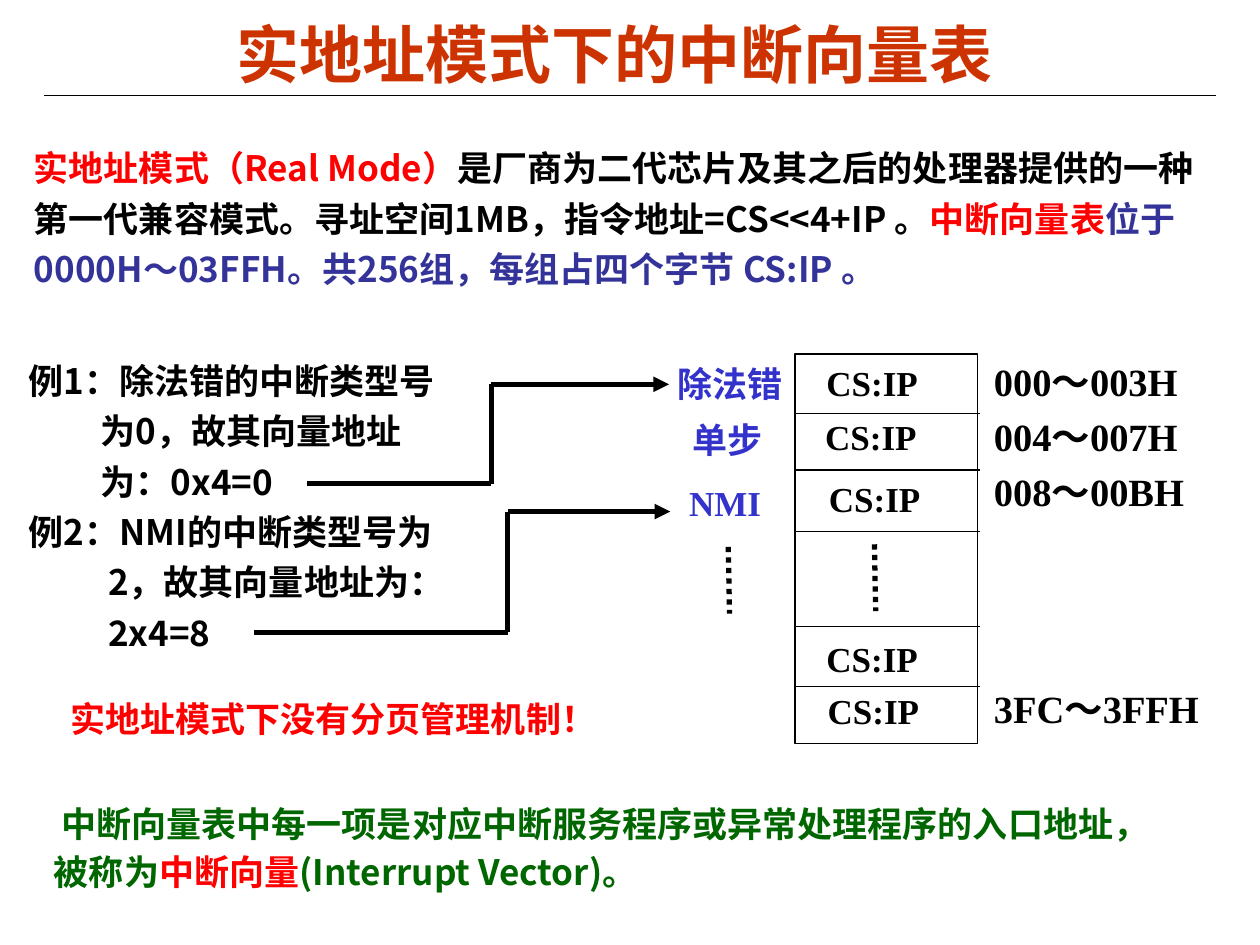
import pptx
import pptx.util
import pptx.dml.color
import pptx.enum.dml
import pptx.enum.shapes
import pptx.enum.text
import pptx.oxml.ns
import lxml.etree

SANS = "Noto Sans CJK SC"
SERIF = "Times New Roman"
BLACK = "000000"
RED = "FF0000"
BLUE = "3333CC"
NAVY = "333399"
GREEN = "006600"


def inch(*nums):
    return [pptx.util.Inches(num) for num in nums]


def tint(color, code):
    color.rgb = pptx.dml.color.RGBColor.from_string(code)


def add_tag(parent, name, **attrs):
    return lxml.etree.SubElement(parent, pptx.oxml.ns.qn(name), attrs)


def add_run(para, text, code, size=20, font=SANS):
    run = para.add_run()
    run.text = text
    run.font.size = pptx.util.Pt(size)
    run.font.bold = True
    run.font.name = font
    tint(run.font.color, code)
    add_tag(run.font._element, "a:ea", typeface=SANS)


def add_box(slide, area, anchor=pptx.enum.text.MSO_ANCHOR.TOP):
    frame = slide.shapes.add_textbox(*inch(*area)).text_frame
    frame.word_wrap = True
    frame.vertical_anchor = anchor
    return frame


def add_para(frame, first, lead=1.0, gap=0, left=0, dent=0):
    para = frame.paragraphs[0] if first else frame.add_paragraph()
    para.line_spacing = lead
    para.space_before = pptx.util.Pt(0 if first else gap)
    props = para._p.get_or_add_pPr()
    props.set("marL", str(pptx.util.Inches(left)))
    props.set("indent", str(pptx.util.Inches(dent)))
    return para


def add_label(slide, left, top, text, code, width=1.28, font=SERIF):
    para = add_para(add_box(slide, (left, top, width, 0.43)), True)
    add_run(para, text, code, font=font)


def add_line(slide, start, end, width=0.75, dots=False, arrow=False):
    kind = pptx.enum.shapes.MSO_CONNECTOR.STRAIGHT
    link = slide.shapes.add_connector(kind, *inch(*start, *end))
    link.line.width = pptx.util.Pt(width)
    tint(link.line.color, BLACK)
    if dots:
        link.line.dash_style = pptx.enum.dml.MSO_LINE.ROUND_DOT
    if arrow:
        add_tag(link.line._get_or_add_ln(), "a:tailEnd", type="triangle")
    add_tag(link._element.spPr, "a:effectLst")


def add_route(slide, points):
    last = len(points) - 2
    for i, (start, end) in enumerate(zip(points, points[1:])):
        add_line(slide, start, end, 3, arrow=i == last)


def add_title(slide):
    add_line(slide, (0.35, 0.76), (9.65, 0.76))
    frame = add_box(slide, (0.5, 0.13, 8.75, 0.58), pptx.enum.text.MSO_ANCHOR.MIDDLE)
    para = add_para(frame, True)
    para.alignment = pptx.enum.text.PP_ALIGN.CENTER
    add_run(para, "实地址模式下的中断向量表", "CC3300", 36, "Arial")


def add_prose(slide, area, lead, parts, dent=0):
    para = add_para(add_box(slide, area), True, lead, dent=dent)
    for text, code in parts:
        add_run(para, text, code)


def add_cases(slide):
    frame = add_box(slide, (0.13, 2.77, 3.9, 2.46))
    rows = [
        ("例1：除法错的中断类型号", 0),
        ("为0，故其向量地址", 0.57),
        ("为：0x4=0", 0.57),
        ("例2：NMI的中断类型号为", 0),
        ("2，故其向量地址为：", 0.63),
        ("2x4=8", 0.63),
    ]
    for i, (text, left) in enumerate(rows):
        add_run(add_para(frame, i == 0, 1.1, 2.4, left), text, BLACK)


def add_vectors(slide):
    kind = pptx.enum.shapes.MSO_SHAPE.RECTANGLE
    rect = slide.shapes.add_shape(kind, *inch(6.31, 2.81, 1.45, 3.09))
    rect.shadow.inherit = False
    rect.fill.background()
    rect.line.width = pptx.util.Pt(0.75)
    tint(rect.line.color, BLACK)
    for y in (3.28, 3.73, 4.22, 4.97, 5.45):
        add_line(slide, (6.32, y), (7.78, y))
    for left, top in ((6.46, 2.82), (6.45, 3.25), (6.48, 3.74), (6.46, 5.01), (6.47, 5.42)):
        add_label(slide, left, top, "CS:IP", BLACK)
    for left, top, text in ((5.28, 2.83, "除法错"), (5.4, 3.27, "单步"), (5.37, 3.77, "NMI")):
        add_label(slide, left, top, text, BLUE)
    for x, y in ((6.94, 4.32), (5.78, 4.34)):
        add_line(slide, (x, y), (x + 0.01, y + 0.53), 3, dots=True)
    frame = add_box(slide, (7.79, 2.79, 2.09, 3.54))
    spans = [("000～003H", 0), ("004～007H", 5.1), ("008～00BH", 5.1), ("3FC～3FFH", 97.8)]
    for i, (text, gap) in enumerate(spans):
        add_run(add_para(frame, i == 0, gap=gap), text, BLACK, 22, SERIF)


def main():
    deck = pptx.Presentation()
    deck.slide_width, deck.slide_height = inch(10, 7.5)
    slide = deck.slides.add_slide(deck.slide_layouts[6])
    add_title(slide)
    add_prose(slide, (0.17, 1.05, 9.55, 1.3), 1.2, [
        ("实地址模式（Real Mode）", RED),
        ("是厂商为二代芯片及其之后的处理器提供的一种第一代兼容模式。"
         "寻址空间1MB，指令地址=CS<<4+IP 。", BLACK),
        ("中断向量表", RED),
        ("位于0000H～03FFH。共256组，每组占四个字节 CS:IP 。", NAVY),
    ])
    add_cases(slide)
    add_vectors(slide)
    add_route(slide, [(2.44, 3.84), (3.9, 3.84), (3.9, 3.05), (5.31, 3.05)])
    add_route(slide, [(2.02, 5.02), (4.03, 5.02), (4.03, 4.06), (5.32, 4.06)])
    add_label(slide, 0.46, 5.49, "实地址模式下没有分页管理机制！", RED, 4.57, "Arial")
    add_prose(slide, (0.33, 6.27, 9.01, 0.87), 1.15, [
        ("中断向量表中每一项是对应中断服务程序或异常处理程序的入口地址，被称为", GREEN),
        ("中断向量", RED),
        ("(Interrupt Vector)。", GREEN),
    ], 0.06)
    deck.save("out.pptx")


if __name__ == "__main__":
    main()
